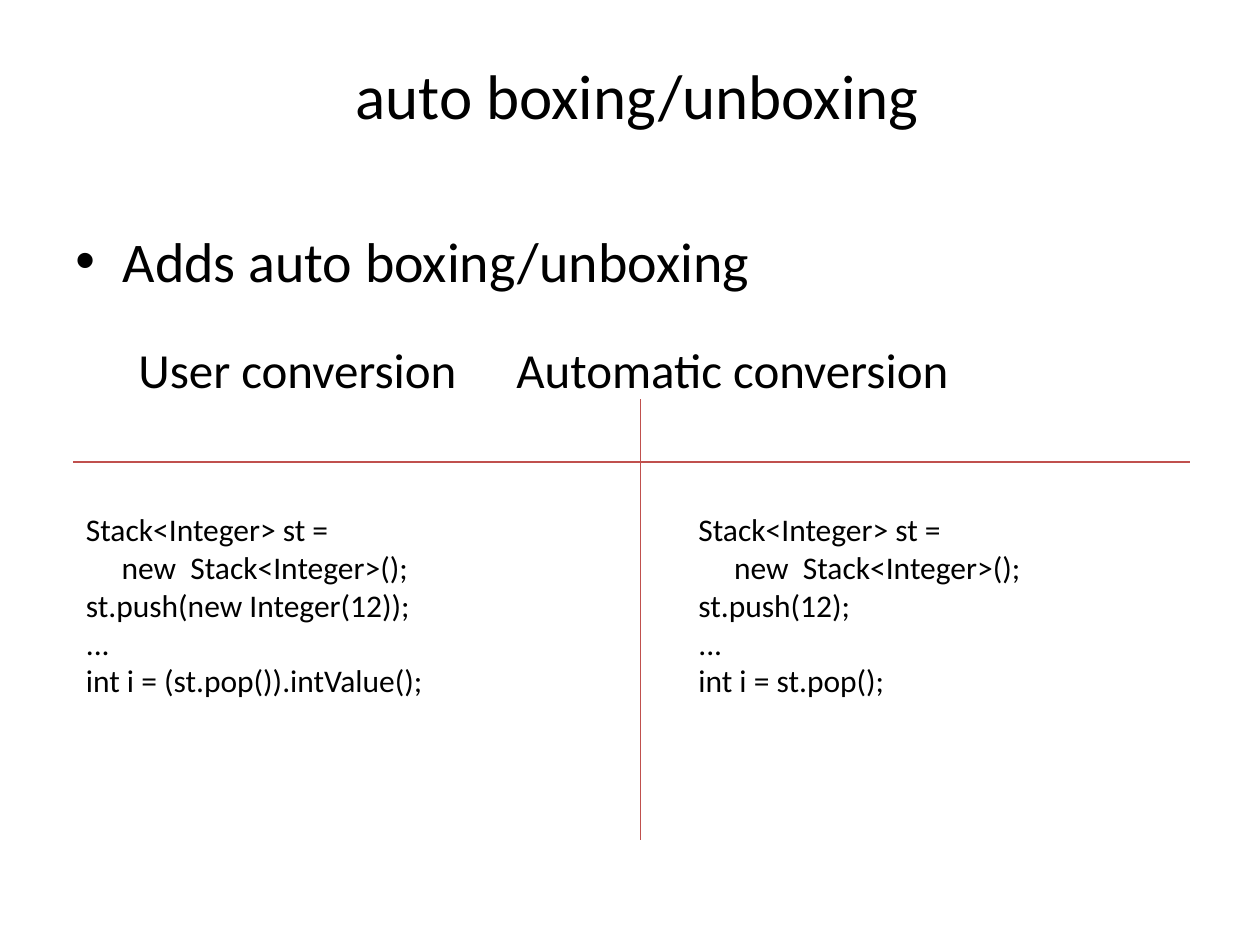
import pptx
import pptx.dml.color
import pptx.enum.shapes
import pptx.enum.text
import pptx.oxml
import pptx.oxml.ns
import pptx.util

Pt = pptx.util.Pt
Align = pptx.enum.text.PP_ALIGN
Anchor = pptx.enum.text.MSO_ANCHOR


def color(target, hex_value):
    """Set the colour of a font or line."""
    target.color.rgb = pptx.dml.color.RGBColor.from_string(hex_value)


def write(frame, text, size, left=0, first=0, bullet=None, tab=None,
          before=0, spacing=1, align=Align.LEFT, new=True):
    """Write one paragraph; lengths are in points."""
    paragraph = frame.add_paragraph() if new else frame.paragraphs[0]
    paragraph.alignment = align
    paragraph.space_before = Pt(before)
    paragraph.line_spacing = spacing
    run = paragraph.add_run()
    run.text = text
    run.font.name = "Calibri"
    run.font.size = Pt(size)
    color(run.font, "000000")
    properties = paragraph._p.get_or_add_pPr()
    properties.set("marL", str(Pt(left)))
    properties.set("indent", str(Pt(first)))
    namespace = pptx.oxml.ns.nsdecls("a")
    if bullet:
        properties.append(pptx.oxml.parse_xml(
            f'<a:buFont {namespace} typeface="Arial"/>'))
        properties.append(pptx.oxml.parse_xml(
            f'<a:buChar {namespace} char="{bullet}"/>'))
    if tab:
        properties.append(pptx.oxml.parse_xml(
            f'<a:tabLst {namespace}><a:tab pos="{Pt(tab)}" algn="l"/></a:tabLst>'))


deck = pptx.Presentation()
deck.slide_width, deck.slide_height = Pt(720), Pt(540)
slide = deck.slides.add_slide(deck.slide_layouts[6])

title = slide.shapes.add_textbox(Pt(32), Pt(18), Pt(664), Pt(72)).text_frame
title.word_wrap = True
title.vertical_anchor = Anchor.MIDDLE
write(title, "auto boxing/unboxing", 36, align=Align.CENTER, new=False)

body = slide.shapes.add_textbox(Pt(36), Pt(126), Pt(644), Pt(414)).text_frame
body.word_wrap = True
write(body, "Adds auto boxing/unboxing", 32, left=27, first=-27,
      bullet="\u2022", before=6.4, new=False)
write(body, "User conversion\tAutomatic conversion", 28, first=36, tab=344,
      before=5.6, spacing=1.6)

# Code samples: left edge, width, push and pop statements
samples = [
    (42, 340, "st.push(new Integer(12));", "int i = (st.pop()).intValue();"),
    (392, 316, "st.push(12);", "int i = st.pop();"),
]
for x, width, push, pop in samples:
    code = slide.shapes.add_textbox(Pt(x), Pt(288), Pt(width), Pt(249)).text_frame
    code.word_wrap = True
    write(code, "Stack<Integer> st =", 18, new=False)
    write(code, "new  Stack<Integer>();", 18, left=20.4)
    for statement in (push, "...", pop):
        write(code, statement, 18)

# Divider cross between headings and columns
for x1, y1, x2, y2 in [(42, 264, 680, 264), (366, 480, 366, 228)]:
    divider = slide.shapes.add_connector(
        pptx.enum.shapes.MSO_CONNECTOR.STRAIGHT, Pt(x1), Pt(y1), Pt(x2), Pt(y2))
    color(divider.line, "C0504D")
    divider.line.width = Pt(0.75)
    divider._element.spPr.append(pptx.oxml.parse_xml(
        f'<a:effectLst {pptx.oxml.ns.nsdecls("a")}/>'))

deck.save("out.pptx")
